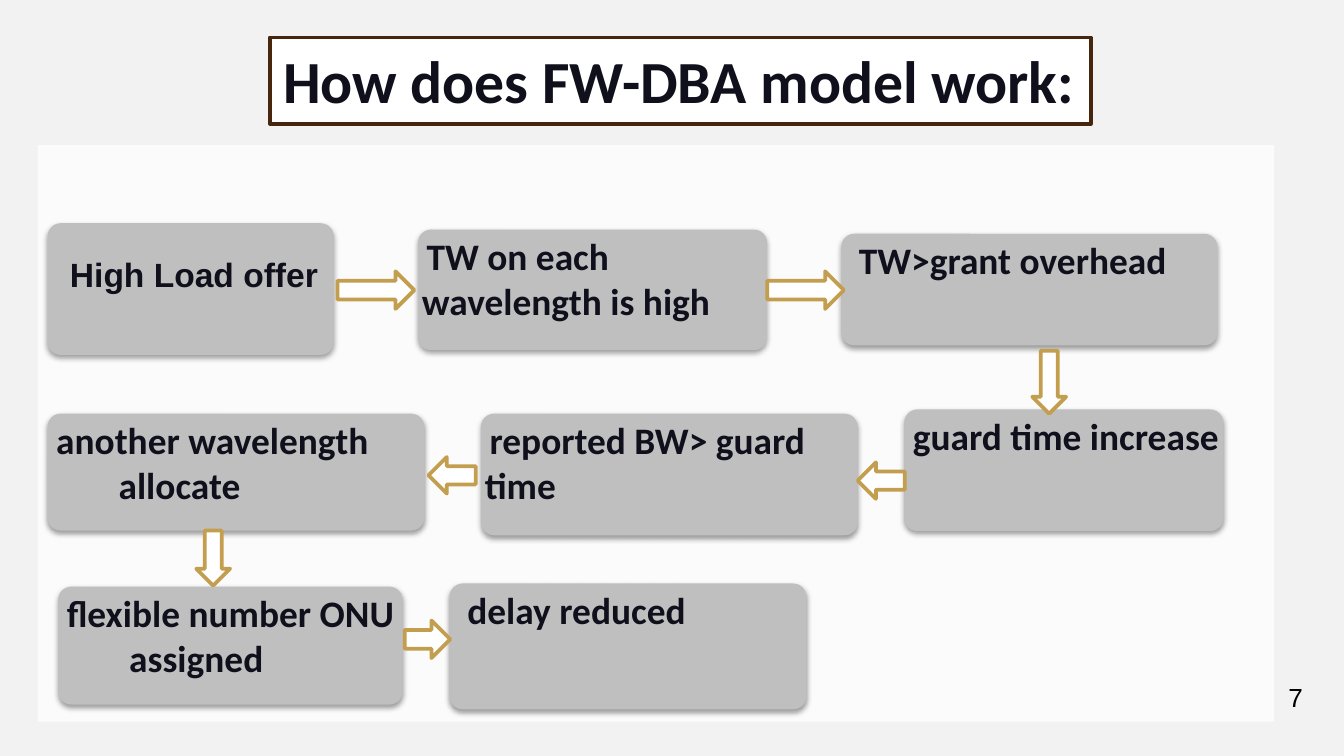
from dataclasses import dataclass

from lxml import etree
from pptx import Presentation
from pptx.dml.color import RGBColor
from pptx.enum import shapes, text
from pptx.oxml import ns
from pptx.util import Cm, Pt


@dataclass(frozen=True)
class Theme:
    background: str = "F2F2F2"
    white: str = "FFFFFF"
    black: str = "000000"
    ink: str = "10101C"
    brown: str = "47260D"
    gold: str = "C29E4E"
    grey: str = "BFBFBF"
    title: int = 32
    step: int = 20
    first_step: int = 18
    number: int = 14
    outline: int = 2


theme = Theme()
kinds = shapes.MSO_SHAPE


def add_block(kind, box, fill, line=None):
    sp = s.shapes.add_shape(kind, *map(Cm, box))
    sp.shadow.inherit = False
    sp.fill.solid()
    sp.fill.fore_color.rgb = RGBColor.from_string(fill)
    if line:
        sp.line.color.rgb = RGBColor.from_string(line)
        sp.line.width = Pt(theme.outline)
    else:
        sp.line.fill.background()
    return sp


def write(sp, words, size, font="Calibri", color=theme.ink, bold=True):
    tf = sp.text_frame
    tf.vertical_anchor = text.MSO_ANCHOR.TOP
    p = tf.paragraphs[0]
    p.text = words
    p.alignment = text.PP_ALIGN.LEFT
    p.font.name, p.font.size, p.font.bold = font, Pt(size), bold
    p.font.color.rgb = RGBColor.from_string(color)
    return tf, p


prs = Presentation()
prs.slide_width, prs.slide_height = Cm(25.4), Cm(14.29)
s = prs.slides.add_slide(prs.slide_layouts[6])
s.background.fill.solid()
s.background.fill.fore_color.rgb = RGBColor.from_string(theme.background)

# Title
title = add_block(kinds.RECTANGLE, (5.1, 0.71, 15.52, 1.63), theme.white, theme.brown)
tf, p = write(title, "How does FW-DBA model work:", theme.title)
tf.word_wrap = False

# Translucent panel behind the flow
panel = add_block(kinds.RECTANGLE, (0.71, 2.74, 23.37, 10.9), theme.white)
panel_color = panel._element.spPr.find(".//" + ns.qn("a:srgbClr"))
etree.SubElement(panel_color, ns.qn("a:alpha"), val="70000")

# Steps: words, box, first-line indent, top margin, type size, font
one_space, two_spaces = 0.09, 0.26
body = (0, theme.step, "Calibri")
steps = [
    ("High Load offer", (0.9, 4.22, 5.41, 2.49), 0.35, 0.5, theme.first_step, "Arial"),
    ("TW on each\vwavelength is high", (7.9, 4.34, 6.6, 2.28), one_space, *body),
    ("TW>grant overhead", (15.9, 4.42, 7.11, 2.11), two_spaces, *body),
    ("guard time increase", (17.09, 7.74, 6.03, 2.3), one_space, *body),
    ("reported BW> guard\vtime", (9.09, 7.82, 7.12, 2.3), one_space, *body),
    ("another wavelength\v\tallocate", (0.9, 7.82, 7.12, 2.21), one_space, *body),
    ("flexible number ONU\v\tassigned", (1.1, 11.09, 6.51, 2.23), one_space, *body),
    ("delay reduced", (8.5, 11.03, 6.74, 2.38), two_spaces, *body),
]
corner = 0.25
for words, box, indent, top, size, font in steps:
    sp = add_block(kinds.ROUNDED_RECTANGLE, box, theme.grey)
    sp.adjustments[0] = corner / box[3]
    effects = sp._element.spPr.find(ns.qn("a:effectLst"))
    shadow = etree.SubElement(effects, ns.qn("a:outerShdw"), blurRad=str(Pt(3.1)),
                              dist=str(Pt(1.6)), dir="5400000", rotWithShape="0")
    shade = etree.SubElement(shadow, ns.qn("a:srgbClr"), val=theme.black)
    etree.SubElement(shade, ns.qn("a:alpha"), val="38000")
    tf, p = write(sp, words, size, font)
    tf.word_wrap = True
    tf.margin_left = tf.margin_right = tf.margin_bottom = 0
    tf.margin_top = Cm(top)
    pPr = p._p.get_or_add_pPr()
    pPr.set("marL", "0")
    pPr.set("indent", str(Cm(indent)))

# Arrows between the steps, in reading order
arrows = [
    (kinds.RIGHT_ARROW, (6.38, 5.13, 1.45, 0.71)),
    (kinds.RIGHT_ARROW, (14.5, 5.13, 1.45, 0.71)),
    (kinds.DOWN_ARROW, (19.51, 6.63, 0.64, 1.19)),
    (kinds.LEFT_ARROW, (16.21, 8.74, 0.89, 0.69)),
    (kinds.LEFT_ARROW, (8.1, 8.64, 0.89, 0.69)),
    (kinds.DOWN_ARROW, (3.71, 10.03, 0.64, 1.04)),
    (kinds.RIGHT_ARROW, (7.65, 11.73, 0.86, 0.71)),
]
for kind, box in arrows:
    add_block(kind, box, theme.white, theme.gold)

# Slide number
number = s.shapes.add_textbox(Cm(24.1), Cm(12.75), Cm(0.79), Cm(0.86))
write(number, "7", theme.number, "Arial", theme.black, bold=False)

prs.save("out.pptx")
